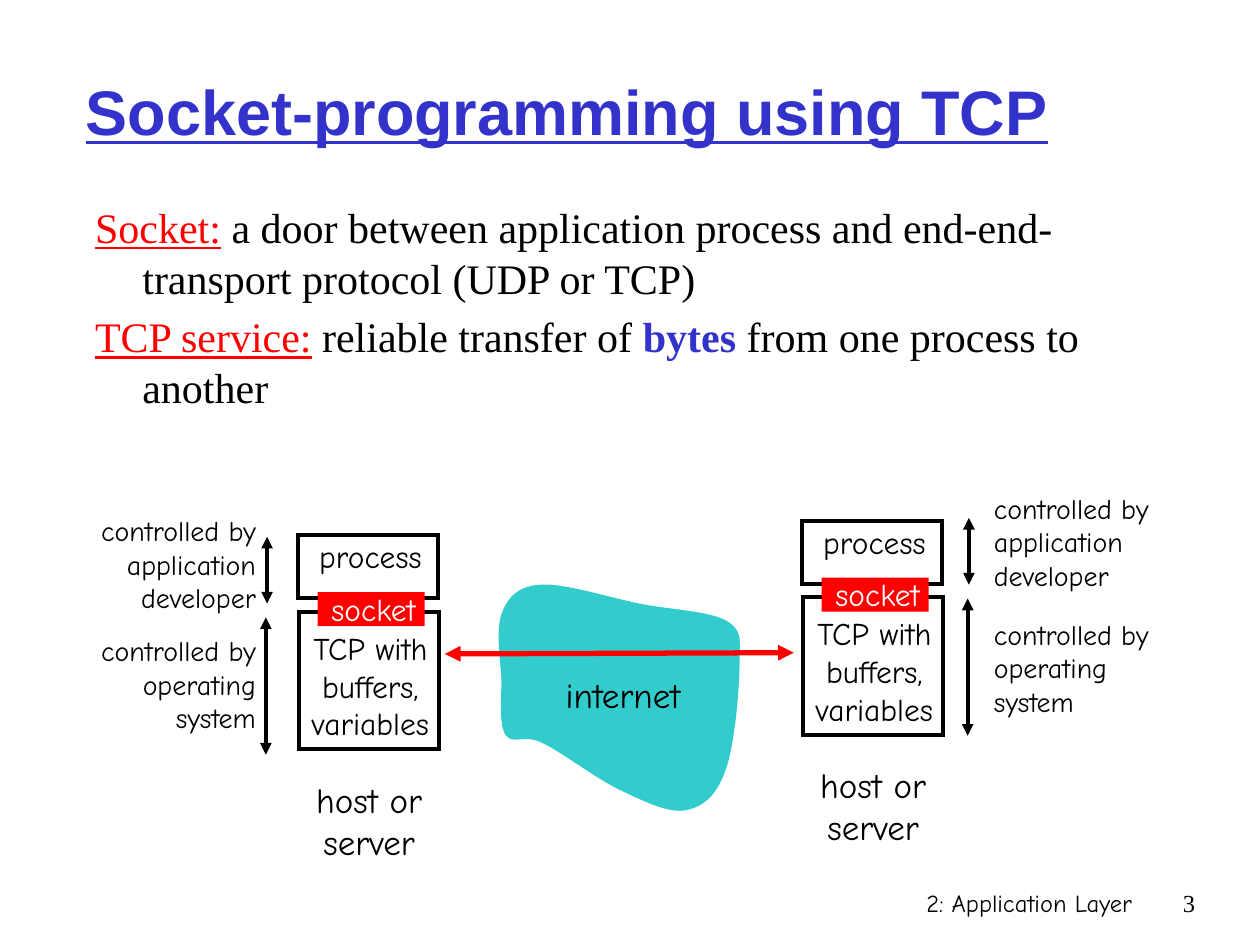
"""Build a slide showing two hosts that exchange bytes through TCP sockets."""
from lxml import etree
from pptx import Presentation
from pptx.dml.color import RGBColor
from pptx.enum.shapes import MSO_CONNECTOR, MSO_SHAPE
from pptx.enum.text import MSO_ANCHOR, MSO_AUTO_SIZE, PP_ALIGN
from pptx.oxml.ns import qn
from pptx.util import Inches, Pt

LEFT, CENTER, RIGHT = PP_ALIGN.LEFT, PP_ALIGN.CENTER, PP_ALIGN.RIGHT
TOP, MIDDLE = MSO_ANCHOR.TOP, MSO_ANCHOR.MIDDLE
FIXED, GROW = MSO_AUTO_SIZE.NONE, MSO_AUTO_SIZE.SHAPE_TO_FIT_TEXT
RECTANGLE, STRAIGHT = MSO_SHAPE.RECTANGLE, MSO_CONNECTOR.STRAIGHT
BLACK, WHITE, RED, BLUE, TEAL = "000000", "FFFFFF", "FF0000", "3333CC", "33CCCC"
HAND, SERIF, SANS = "Comic Neue", "Times New Roman", "Arial"
colour = RGBColor.from_string

deck = Presentation()
deck.slide_width, deck.slide_height = Inches(10), Inches(7.5)
COL, ROW = deck.slide_width / 100, deck.slide_height / 75
slide = deck.slides.add_slide(deck.slide_layouts[1])


def add_label(shapes, words, col, row, cols, rows, size, align=CENTER,
              ink=BLACK, font=HAND, anchor=MIDDLE, fit=GROW):
    label = shapes.add_textbox(int(col * COL), int(row * ROW), int(cols * COL), int(rows * ROW))
    frame = label.text_frame
    frame.text = words
    frame.word_wrap, frame.auto_size, frame.vertical_anchor = False, fit, anchor
    for paragraph in frame.paragraphs:
        paragraph.alignment = align
        text = paragraph.runs[0].font
        text.name, text.size, text.color.rgb = font, Pt(size), colour(ink)


def add_arrow(col, row, end_col, end_row, ink=BLACK, weight=2.25):
    arrow = slide.shapes.add_connector(
        STRAIGHT, int(col * COL), int(row * ROW), int(end_col * COL), int(end_row * ROW))
    arrow.line.color.rgb, arrow.line.width = colour(ink), Pt(weight)
    for end in ("a:headEnd", "a:tailEnd"):
        etree.SubElement(arrow.line._get_or_add_ln(), qn(end), type="triangle")
    etree.SubElement(arrow._element.spPr, qn("a:effectLst"))


title, body = slide.shapes.title, slide.placeholders[1]
title.left, title.top = int(5.8 * COL), int(2.5 * ROW)
title.width, title.height = int(85 * COL), int(12.5 * ROW)
title.text_frame.text = "Socket-programming using TCP"
title.text_frame.vertical_anchor, title.text_frame.auto_size = MIDDLE, FIXED
heading = title.text_frame.paragraphs[0]
heading.alignment = LEFT
heading_font = heading.runs[0].font
heading_font.name, heading_font.size, heading_font.color.rgb = SANS, Pt(36), colour(BLUE)
heading_font.bold = heading_font.underline = True

definitions = [
    [("Socket:", RED),
     (" a door between application process and end-end-transport protocol (UDP or TCP)", BLACK)],
    [("TCP service:", RED), (" reliable transfer of ", BLACK), ("bytes ", BLUE),
     ("from one process to another", BLACK)],
]
body.left, body.top = int(6.5 * COL), int(15.5 * ROW)
body.width, body.height = int(85 * COL), int(16.8 * ROW)
body.text_frame.auto_size = FIXED
body.text_frame.text = "\n".join("" for _ in definitions)
for paragraph, definition in zip(body.text_frame.paragraphs, definitions):
    paragraph.space_before, paragraph.line_spacing = Pt(4.8), 1.0
    layout = paragraph._p.get_or_add_pPr()
    layout.set("marL", str(int(3.8 * COL)))
    layout.set("indent", str(int(-3.75 * COL)))
    etree.SubElement(layout, qn("a:buNone"))
    for words, ink in definition:
        run = paragraph.add_run()
        run.text = words
        run.font.name, run.font.size, run.font.color.rgb = SERIF, Pt(24), colour(ink)
        run.font.underline, run.font.bold = ink == RED, ink == BLUE

for host_col, host_row in ((23.65, 42.5), (63.65, 41.35)):
    host = slide.shapes.add_group_shape().shapes
    for col, row, cols, rows, fill in (
            (0, 0, 11.1, 5, WHITE), (0.1, 6.05, 11.1, 10.9, WHITE), (1.55, 4.5, 8.5, 2.7, RED)):
        box = host.add_shape(RECTANGLE, int((host_col + col) * COL), int((host_row + row) * ROW),
                             int(cols * COL), int(rows * ROW))
        box.shadow.inherit = False
        box.fill.solid()
        box.fill.fore_color.rgb = colour(fill)
        if fill == RED:
            box.line.fill.background()
        else:
            box.line.color.rgb, box.line.width = colour(BLACK), Pt(2.25)
            etree.SubElement(box.line._get_or_add_ln(), qn("a:miter"), lim="800000")
    for words, col, row, cols, rows, ink in (
            ("process", 0.3, -0.35, 10.9, 4, BLACK),
            ("TCP with\nbuffers,\nvariables", -0.45, 6.9, 12.4, 10, BLACK),
            ("socket", 1.15, 3.8, 9.7, 4, WHITE)):
        add_label(host, words, host_col + col, host_row + row, cols, rows, 18, ink=ink)
    add_label(slide.shapes, "host or\nserver", host_col, host_row + 18.75, 11.3, 7.7, 20)

for col, developer_row, system_row, align, arrow_col, arrow_row in (
        (5.7, 40.25, 49.8, RIGHT, 21.2, 42.6), (77.9, 38.5, 48.5, LEFT, 76.9, 41.1)):
    add_label(slide.shapes, "controlled by\napplication\ndeveloper",
              col, developer_row, 15.6, 9, 16, align)
    add_label(slide.shapes, "controlled by\noperating\nsystem",
              col, system_row, 15.6, 9, 16, align)
    add_arrow(arrow_col, arrow_row + 5.3, arrow_col, arrow_row)
    add_arrow(arrow_col - 0.1, arrow_row + 17.3, arrow_col - 0.1, arrow_row + 6.4)

cloud_start = (43, 46.4)
cloud_curves = [
    ((41.2, 46.5), (40.4, 47.3), (39.9, 48.5)),
    ((39.3, 49.8), (39.7, 52.2), (39.8, 53.9)),
    ((39.8, 55.5), (39.6, 57.5), (40.1, 58.3)),
    ((40.7, 59.2), (41.6, 58.2), (43.1, 59)),
    ((44.6, 59.7), (47.3, 61.8), (49.2, 62.7)),
    ((51.1, 63.6), (53.1, 64.6), (54.5, 64.3)),
    ((55.9, 64), (56.9, 63.1), (57.6, 61.1)),
    ((58.3, 59.2), (58.7, 54.7), (58.7, 52.7)),
    ((58.7, 50.8), (59, 50.1), (57.7, 49.3)),
    ((56.4, 48.5), (53.2, 48.4), (50.7, 47.9)),
    ((48.3, 47.4), (44.8, 46.3), cloud_start),
]
builder = slide.shapes.build_freeform(int(cloud_start[0] * COL), int(cloud_start[1] * ROW))
builder.add_line_segments(
    [(int(col * COL), int(row * ROW)) for curve in cloud_curves for col, row in curve], close=True)
cloud = builder.convert_to_shape()
segments = list(cloud._element.iter(qn("a:lnTo")))
for first in range(0, len(segments), 3):
    bezier = etree.Element(qn("a:cubicBezTo"))
    segments[first].addprevious(bezier)
    for segment in segments[first:first + 3]:
        bezier.append(segment[0])
        segment.getparent().remove(segment)
cloud.shadow.inherit = False
cloud.fill.solid()
cloud.fill.fore_color.rgb = colour(TEAL)
cloud.line.fill.background()
add_label(slide.shapes, "internet", 43.1, 52.95, 12.7, 4.3, 20)
add_arrow(63, 51.8, 35.3, 51.9, RED, 3)

add_label(slide.shapes, "2: Application Layer", 59.15, 70, 31.7, 5, 14, RIGHT, anchor=TOP, fit=FIXED)
add_label(slide.shapes, "3", 90.85, 70, 5, 5, 14, RIGHT, font=SERIF, anchor=TOP, fit=FIXED)

deck.save("out.pptx")
